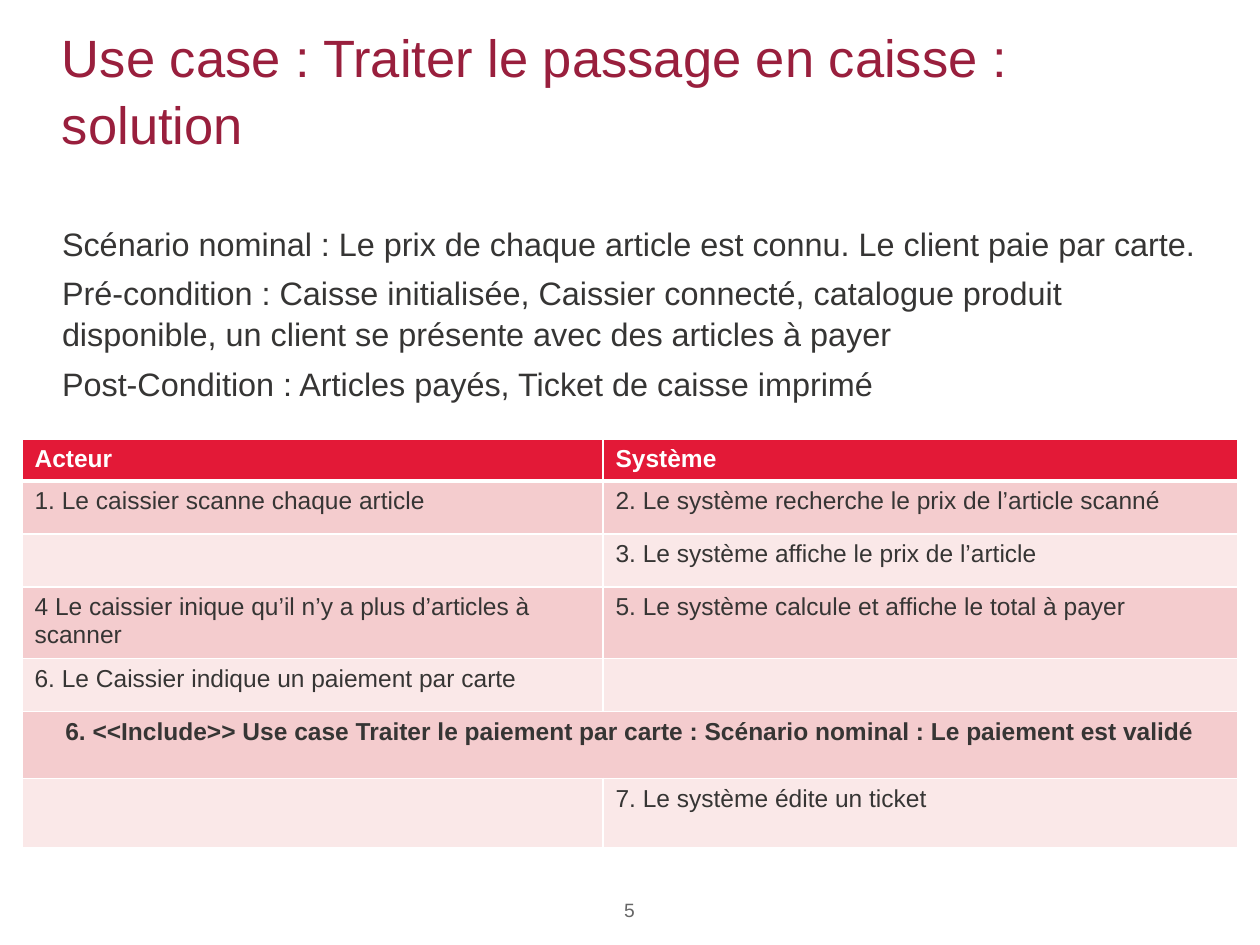
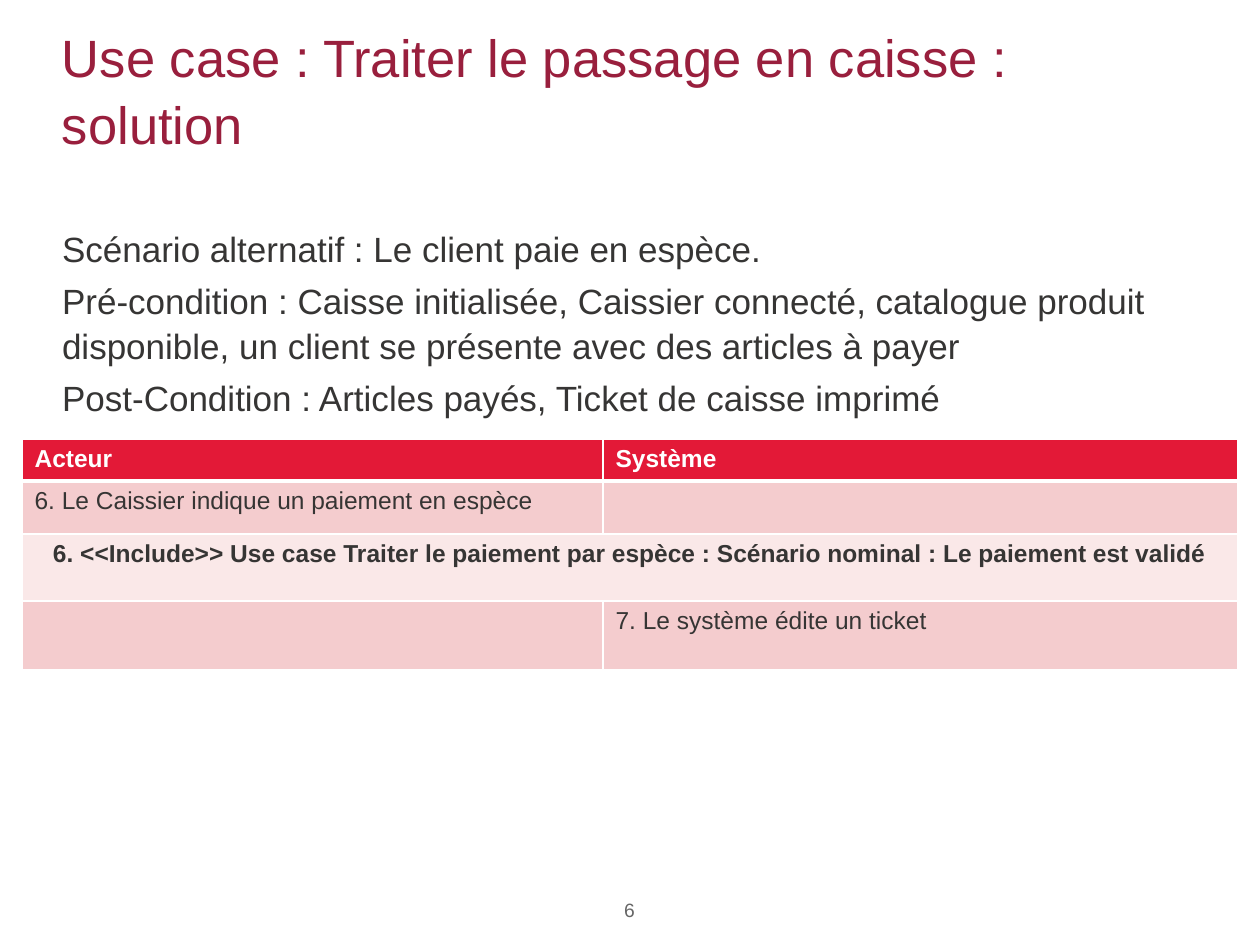
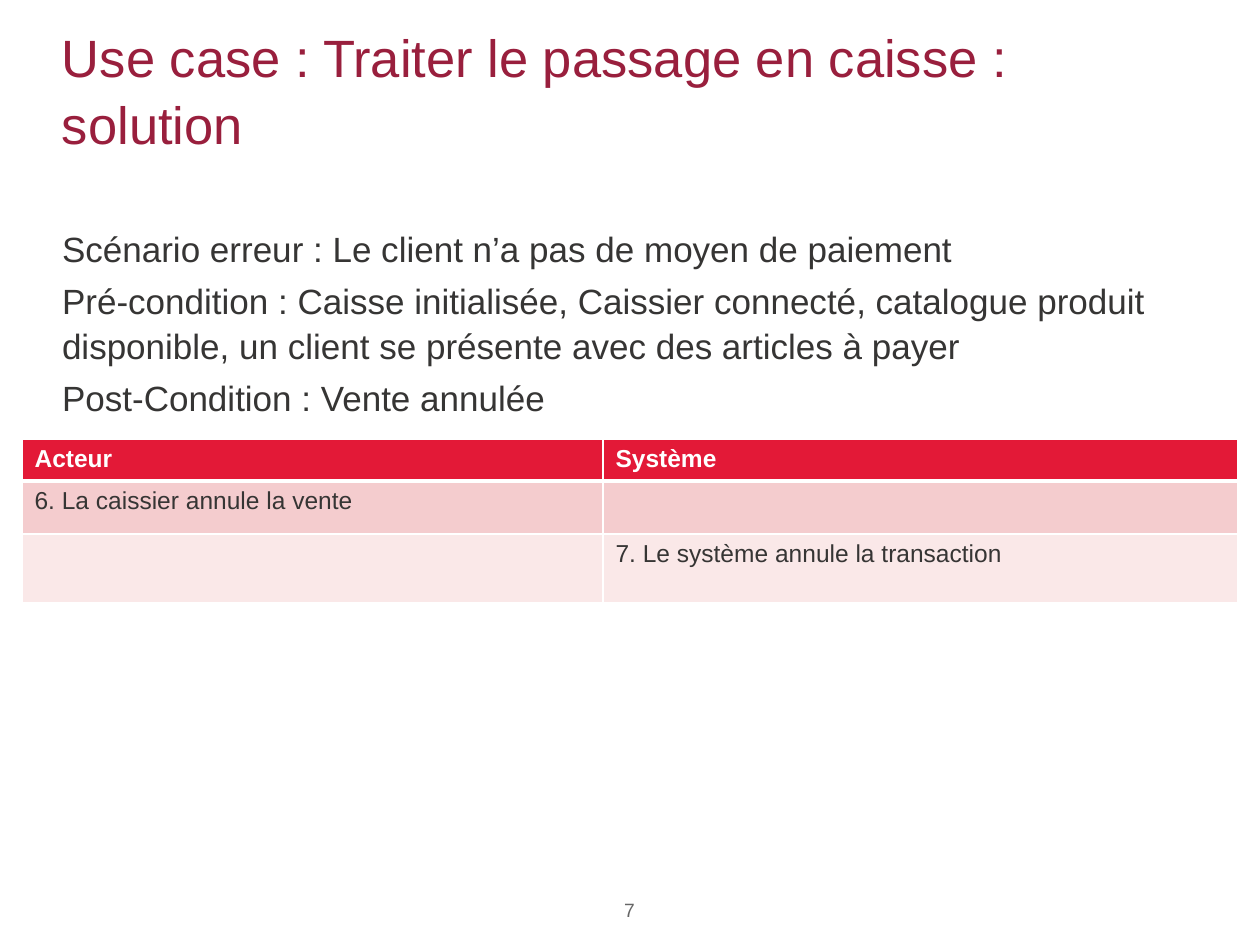
from lxml.etree import SubElement
from pptx import Presentation
from pptx.dml.color import RGBColor
from pptx.enum.text import MSO_ANCHOR, PP_ALIGN
from pptx.oxml.ns import qn
from pptx.util import Emu, Pt

INK = {"title": "991F3D", "text": "363534", "number": "666666", "head": "E31937",
       "odd": "F4CCCE", "even": "FAE8E8", "white": "FFFFFF"}
FONT = "Arial"
TITLE = "Use case : Traiter le passage en caisse : solution"
READY = ("Pré-condition : Caisse initialisée, Caissier connecté, catalogue produit "
         "disponible, un client se présente avec des articles à payer")
PAID = "Post-Condition : Articles payés, Ticket de caisse imprimé"
TICKET = ("", "7. Le système édite un ticket")
HEAD = ("Acteur", "Système")
COLS = (581, 635)
ROW = {"head": 40, "plain": 53, "span": 67, "last": 69}
BOX = {"title": (62, 25, 1135, 127), "body": (62, 174, 1153, 244),
       "table": (22, 439), "number": (576, 898, 107, 33)}

CASES = [
    {"size": 18.5,
     "body": ["Scénario nominal : Le prix de chaque article est connu. "
              "Le client paie par carte.", READY, PAID],
     "rows": [("1. Le caissier scanne chaque article",
               "2. Le système recherche le prix de l’article scanné"),
              ("", "3. Le système affiche le prix de l’article"),
              ("4 Le caissier inique qu’il n’y a plus d’articles à scanner",
               "5. Le système calcule et affiche le total à payer"),
              ("6. Le Caissier indique un paiement par carte", ""),
              ("6. <<Include>> Use case Traiter le paiement par carte : "
               "Scénario nominal : Le paiement est validé",),
              TICKET]},
    {"size": 20,
     "body": ["Scénario alternatif : Le client paie en espèce.", READY, PAID],
     "rows": [("6. Le Caissier indique un paiement en espèce", ""),
              ("6. <<Include>> Use case Traiter le paiement par espèce : "
               "Scénario nominal : Le paiement est validé",),
              TICKET]},
    {"size": 20,
     "body": ["Scénario erreur : Le client n’a pas de moyen de paiement", READY,
              "Post-Condition : Vente annulée"],
     "rows": [("6. La caissier annule la vente", ""),
              ("", "7. Le système annule la transaction")]},
]


def px(num):
    """Turn pixels into EMU."""
    return Emu(round(num * 914400 / 126))


def write(frame, *lines, size=14, ink="text", bold=False, center=False, lead=1.0, gap=0):
    """Fill a text frame with one paragraph per line."""
    for i, line in enumerate(lines):
        para = frame.add_paragraph() if i else frame.paragraphs[0]
        para.alignment = PP_ALIGN.CENTER if center else PP_ALIGN.LEFT
        para.line_spacing = lead
        para.space_before = Pt(gap if i else 0)
        para.font.size = Pt(size)
        if line:
            run = para.add_run()
            run.text = line
            run.font.name, run.font.size, run.font.bold = FONT, Pt(size), bold
            run.font.color.rgb = RGBColor.from_string(INK[ink])


def label(slide, box, *lines, top=0, anchor=MSO_ANCHOR.TOP, **look):
    """Place a wrapped text box whose text starts top pixels down."""
    frame = slide.shapes.add_textbox(*map(px, box)).text_frame
    frame.word_wrap = True
    frame.vertical_anchor = anchor
    frame.margin_left = frame.margin_right = frame.margin_bottom = 0
    frame.margin_top = px(top)
    write(frame, *lines, **look)


def edge(cell, **wide):
    """Draw white cell borders, with widths in points by side."""
    props = cell._tc.get_or_add_tcPr()
    for side in "LRTB":
        line = SubElement(props, qn(f"a:ln{side}"), w=str(Pt(wide.get(side, 1))))
        fill = SubElement(line, qn("a:solidFill"))
        SubElement(fill, qn("a:srgbClr"), val=INK["white"])


def steps(slide, box, rows):
    """Build the actor and system table from its top left corner."""
    rows = [HEAD, *rows]
    kinds = ["span" if len(row) == 1 else "plain" for row in rows]
    kinds[0], kinds[-1] = "head", "last"
    highs = [ROW[kind] for kind in kinds]
    size = (sum(COLS), sum(highs))
    table = slide.shapes.add_table(len(rows), len(COLS), *map(px, box + size)).table
    table.first_row = table.horz_banding = False
    for col, wide in zip(table.columns, COLS):
        col.width = px(wide)
    for i, (row, kind) in enumerate(zip(rows, kinds)):
        table.rows[i].height = px(ROW[kind])
        head, span = kind == "head", kind == "span"
        tint = "head" if head else "odd" if i % 2 else "even"
        for j in range(len(COLS)):
            cell = table.cell(i, j)
            edge(cell, B=3 if head else 1, T=3 if i == 1 else 1)
            cell.fill.solid()
            cell.fill.fore_color.rgb = RGBColor.from_string(INK[tint])
        if span:
            table.cell(i, 0).merge(table.cell(i, len(COLS) - 1))
        for j, text in enumerate(row):
            write(table.cell(i, j).text_frame, text, bold=head or span,
                  center=span, ink="white" if head else "text")


def page(deck, num, case):
    """Add one use case slide."""
    slide = deck.slides.add_slide(deck.slide_layouts[6])
    size = case["size"]
    label(slide, BOX["title"], TITLE, size=30, ink="title", lead=1.05,
          anchor=MSO_ANCHOR.MIDDLE)
    label(slide, BOX["body"], *case["body"], size=size, lead=1.05, gap=5,
          top=round(size * 2.1) + 9)
    label(slide, BOX["number"], str(num), size=11, ink="number", center=True)
    steps(slide, BOX["table"], case["rows"])


def main():
    """Build and save the deck."""
    deck = Presentation()
    deck.slide_width, deck.slide_height = px(1260), px(945)
    for num, case in enumerate(CASES, 5):
        page(deck, num, case)
    deck.save("out.pptx")


if __name__ == "__main__":
    main()
